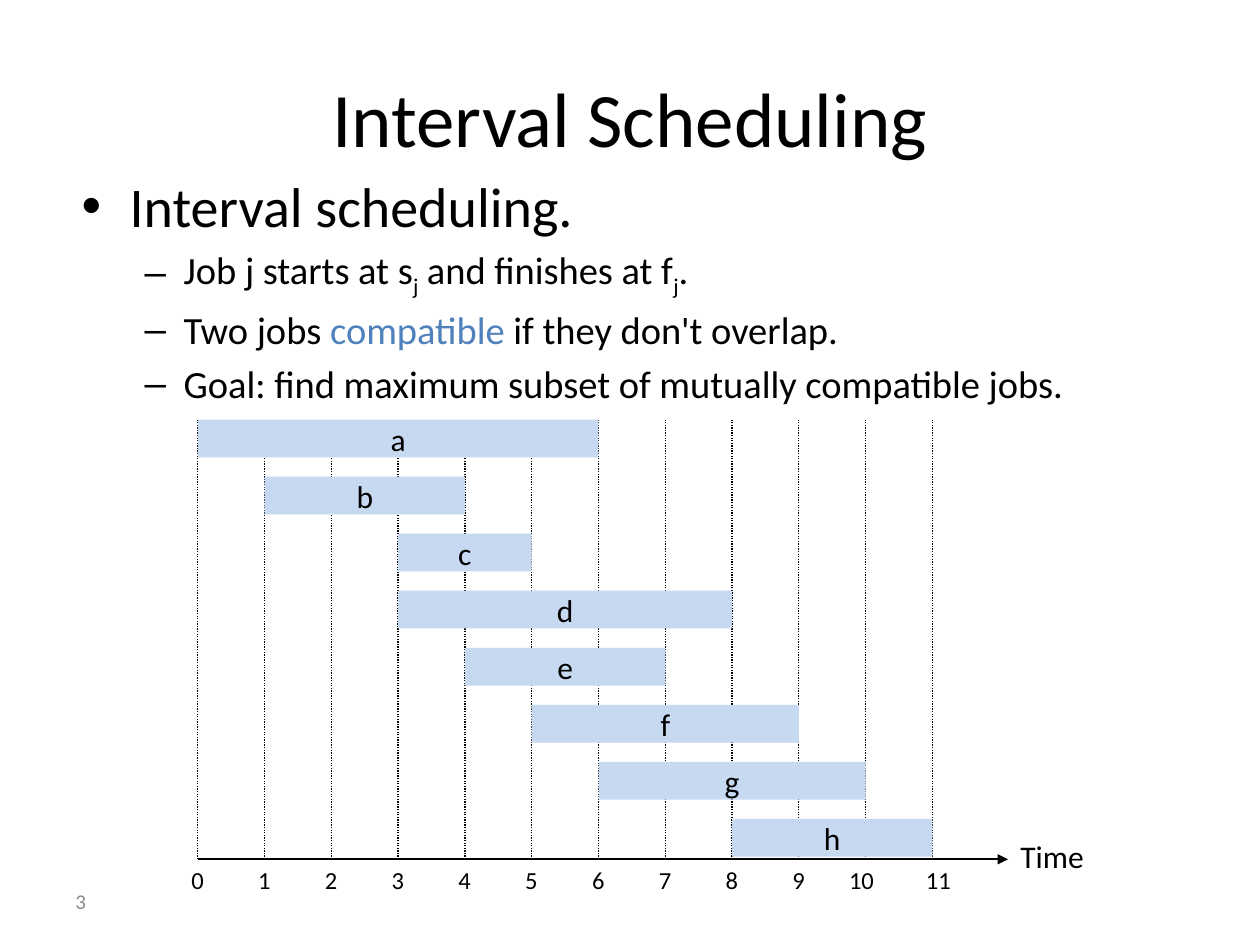
from dataclasses import dataclass
from typing import Any, NamedTuple

from pptx import Presentation
from pptx.dml.color import RGBColor as RGB
from pptx.enum.dml import MSO_LINE as Dash
from pptx.enum.shapes import MSO_CONNECTOR as Conn, MSO_SHAPE as Shape
from pptx.enum.text import MSO_ANCHOR as Anchor, MSO_AUTO_SIZE as Fit, PP_ALIGN as Align
from pptx.oxml.ns import qn
from pptx.util import Inches, Pt
from lxml.etree import SubElement


@dataclass(frozen=True)
class Theme:
    font: str = "Calibri"
    ink: RGB = RGB(0, 0, 0)
    accent: RGB = RGB(0x4F, 0x81, 0xBD)
    bar: RGB = RGB(0xC6, 0xD9, 0xF1)
    muted: RGB = RGB(0x8C, 0x8C, 0x8C)
    title: int = 44
    head: int = 32
    item: int = 22
    label: int = 18
    tick: int = 14
    page: int = 12


class Job(NamedTuple):
    name: str
    start: int
    finish: int


class Piece(NamedTuple):
    text: str
    color: RGB = Theme.ink
    subscript: bool = False


class Bullet(NamedTuple):
    level: int
    pieces: list[Piece]


class Level(NamedTuple):
    char: str
    size: int
    indent: float
    hanging: float


T = Theme()
LEVELS = [Level("•", T.head, 0.38, 0.38), Level("–", T.item, 0.81, 0.31)]
BULLETS = [
    Bullet(0, [Piece("Interval scheduling.")]),
    Bullet(1, [Piece("Job j starts at s"), Piece("j", subscript=True),
               Piece(" and finishes at f"), Piece("j", subscript=True), Piece(".")]),
    Bullet(1, [Piece("Two jobs "), Piece("compatible ", T.accent),
               Piece("if they don't overlap.")]),
    Bullet(1, [Piece("Goal: find maximum subset of mutually compatible jobs.")]),
]
JOBS = [Job("a", 0, 6), Job("b", 1, 4), Job("c", 3, 5), Job("d", 3, 8),
        Job("e", 4, 7), Job("f", 5, 9), Job("g", 6, 10), Job("h", 8, 11)]

# Time grid
LEFT, TOP, AXIS_Y, AXIS_END = 1.57, 3.33, 6.82, 8
UNIT, LAST_TIME = 0.53, 11
BAR_H, LAST_TOP = 0.3, 6.5
ROW = (LAST_TOP - TOP) / (len(JOBS) - 1)
TICK_SHIFT = {10: -0.23}


def time_x(time: int) -> float:
    return LEFT + time * UNIT


def apply(obj: Any, values: dict[str, Any]) -> None:
    for name, value in values.items():
        setattr(obj, name, value)


def add_run(p: Any, text: str, size: int, color: RGB = T.ink) -> Any:
    r = p.add_run()
    r.text = text
    apply(r.font, {"name": T.font, "size": Pt(size)})
    r.font.color.rgb = color
    return r


def add_text(slide: Any, text: str, box: tuple[float, ...], size: int,
             color: RGB = T.ink, **frame: Any) -> None:
    tf = slide.shapes.add_textbox(*map(Inches, box)).text_frame
    apply(tf, {"word_wrap": True, **frame})
    add_run(tf.paragraphs[0], text, size, color)


def add_line(slide: Any, start: tuple[float, float], end: tuple[float, float],
             width: float) -> Any:
    line = slide.shapes.add_connector(Conn.STRAIGHT, *map(Inches, start + end))
    line.line.width = Pt(width)
    line.line.color.rgb = T.ink
    SubElement(line._element.spPr, qn("a:effectLst"))
    return line


def add_bullets(slide: Any, bullets: list[Bullet], box: tuple[float, ...]) -> None:
    tf = slide.shapes.add_textbox(*map(Inches, box)).text_frame
    tf.word_wrap = True
    for i, bullet in enumerate(bullets):
        level = LEVELS[bullet.level]
        p = tf.add_paragraph() if i else tf.paragraphs[0]
        p.level = bullet.level
        if i:
            p.space_before = Pt(level.size * 0.2)
        pPr = p._p.get_or_add_pPr()
        pPr.set("marL", str(Inches(level.indent)))
        pPr.set("indent", str(-Inches(level.hanging)))
        SubElement(pPr, qn("a:buFont"), typeface="Arial")
        SubElement(pPr, qn("a:buChar"), char=level.char)
        for piece in bullet.pieces:
            r = add_run(p, piece.text, level.size, piece.color)
            if piece.subscript:
                r._r.get_or_add_rPr().set("baseline", "-25000")


def add_job(slide: Any, job: Job, row: int) -> None:
    box = (time_x(job.start), TOP + row * ROW, (job.finish - job.start) * UNIT, BAR_H)
    sp = slide.shapes.add_shape(Shape.RECTANGLE, *map(Inches, box))
    sp.shadow.inherit = False
    sp.fill.solid()
    sp.fill.fore_color.rgb = T.bar
    sp.line.fill.background()
    tf = sp.text_frame
    apply(tf, {"word_wrap": False, "vertical_anchor": Anchor.MIDDLE})
    p = tf.paragraphs[0]
    p.alignment = Align.CENTER
    add_run(p, job.name, T.label)


def add_time_grid(slide: Any) -> None:
    for time in range(LAST_TIME + 1):
        x = time_x(time)
        grid = add_line(slide, (x, AXIS_Y), (x, TOP), 0.75)
        grid.line.dash_style = Dash.ROUND_DOT
        shift = TICK_SHIFT.get(time, -0.15)
        add_text(slide, str(time), (x + shift, AXIS_Y, 0.45, 0.34), T.tick,
                 auto_size=Fit.SHAPE_TO_FIT_TEXT)
    axis = add_line(slide, (LEFT, AXIS_Y), (AXIS_END, AXIS_Y), 1.25)
    SubElement(axis.line._get_or_add_ln(), qn("a:tailEnd"), type="triangle")
    add_text(slide, "Time", (AXIS_END, 6.59, 0.83, 0.4), T.label,
             auto_size=Fit.SHAPE_TO_FIT_TEXT)


def main() -> None:
    prs = Presentation()
    apply(prs, {"slide_width": Inches(10), "slide_height": Inches(7.5)})
    slide = prs.slides.add_slide(prs.slide_layouts[5])

    # Title
    title = slide.shapes.title
    apply(title, {"left": Inches(0.5), "top": Inches(0.3),
                  "width": Inches(9), "height": Inches(1.25)})
    title.text_frame.vertical_anchor = Anchor.MIDDLE
    p = title.text_frame.paragraphs[0]
    p.alignment = Align.CENTER
    add_run(p, "Interval Scheduling", T.title)

    # Problem statement
    add_bullets(slide, BULLETS, (0.55, 1.31, 9, 1.92))

    # Schedule: grid behind, jobs in front
    add_time_grid(slide)
    for row, job in enumerate(JOBS):
        add_job(slide, job, row)

    # Page number
    add_text(slide, "3", (0.5, 6.95, 2.33, 0.4), T.page, T.muted,
             vertical_anchor=Anchor.MIDDLE)
    prs.save("out.pptx")


if __name__ == "__main__":
    main()
